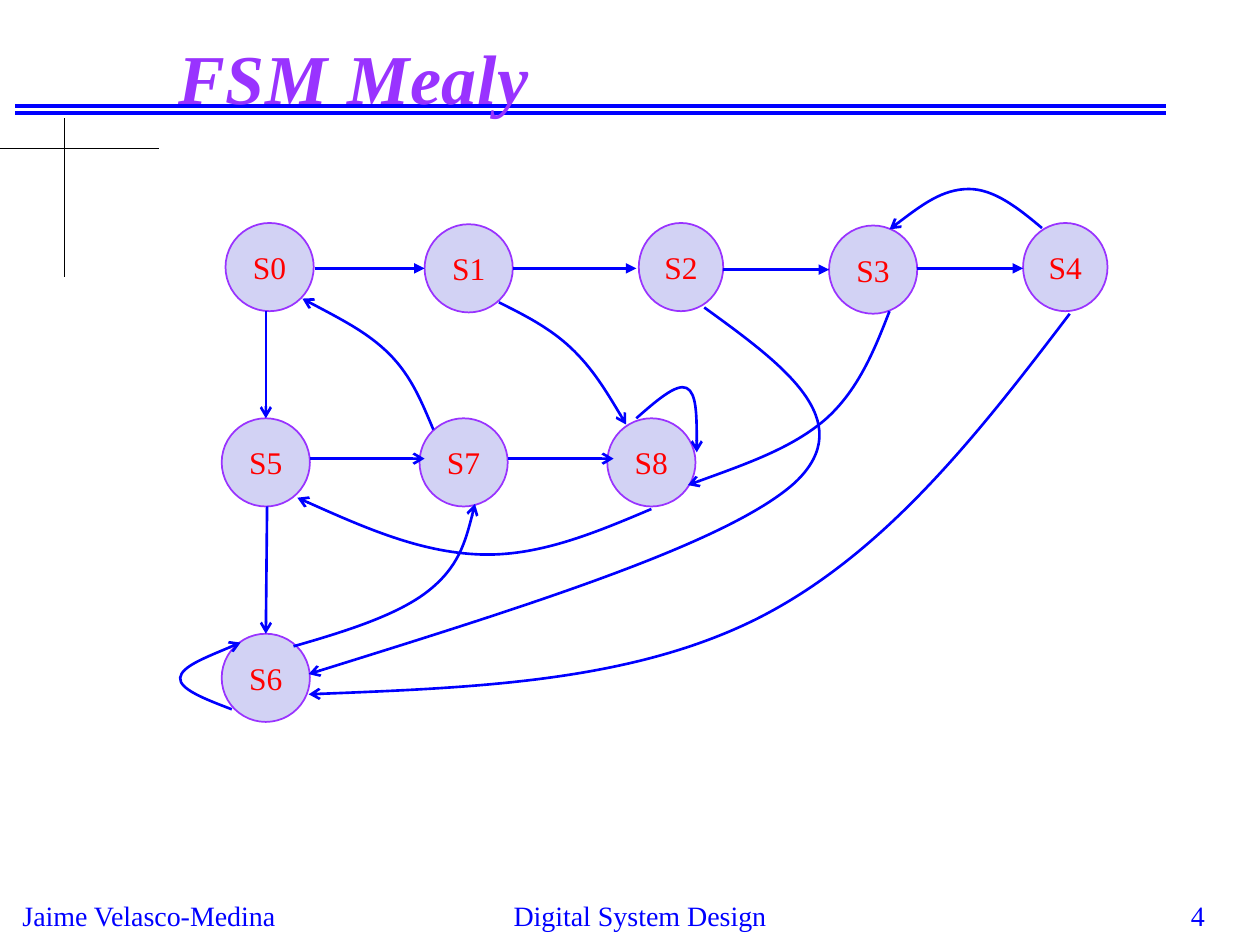
import pptx
import pptx.util
import pptx.dml.color
import pptx.enum.shapes
import pptx.enum.text
import pptx.oxml.ns
from lxml import etree

Inches, Pt = pptx.util.Inches, pptx.util.Pt
qn = pptx.oxml.ns.qn
ALIGN = pptx.enum.text.PP_ALIGN
ANCHOR = pptx.enum.text.MSO_ANCHOR

THEME = {
    "font": "Times New Roman",
    "blue": "0000FF", "purple": "9933FF", "lilac": "D2D2F4",
    "red": "FF0000", "black": "000000",
    "title": 40, "state": 18, "footer": 16,
    "rule": 2.25, "cross": 0.75, "outline": 1, "arrow": 1.5,
}

# Content: lengths in inches
TITLE = ("FSM Mealy", (0.76, 0.22, 4.1, 0.77))
FOOTERS = [
    ("Jaime Velasco-Medina", (0.08, 7.08, 2.25, 0.37), ALIGN.LEFT),
    ("Digital System Design", (3.33, 7.08, 3.5, 0.33), ALIGN.CENTER),
    ("4", (7.58, 7.08, 2.08, 0.25), ALIGN.RIGHT),
]
RULES = [((0.12, y), (9.25, y)) for y in (0.84, 0.9)]
CROSS = [((0, 1.18), (1.26, 1.18)), ((0.51, 0.94), (0.51, 2.2))]

STATE_HEIGHT = 0.7
STATES = [  # name, left, top, width
    ("S0", 1.79, 1.77, 0.7), ("S1", 3.37, 1.78, 0.7), ("S2", 5.07, 1.77, 0.67),
    ("S3", 6.58, 1.79, 0.7), ("S4", 8.12, 1.77, 0.67),
    ("S5", 1.76, 3.32, 0.7), ("S7", 3.33, 3.32, 0.7), ("S8", 4.82, 3.32, 0.7),
    ("S6", 1.76, 5.03, 0.7),
]
STRAIGHT_TRANSITIONS = {
    "triangle": [
        ((2.5, 2.13), (3.37, 2.13)),   # S0 to S1
        ((4.07, 2.13), (5.05, 2.13)),  # S1 to S2
        ((5.74, 2.14), (6.58, 2.14)),  # S2 to S3
        ((7.28, 2.13), (8.12, 2.13)),  # S3 to S4
    ],
    "arrow": [
        ((2.11, 2.47), (2.11, 3.32)),  # S0 to S5
        ((2.12, 4.02), (2.11, 5.03)),  # S5 to S6
        ((2.46, 3.64), (3.37, 3.64)),  # S5 to S7
        ((4.03, 3.64), (4.87, 3.64)),  # S7 to S8
    ],
}
# Each curve: start, then control, control, anchor for each of two segments
CURVED_TRANSITIONS = [
    # S6 to itself
    [(1.84, 5.63), (1.63, 5.55), (1.42, 5.47), (1.43, 5.38), (1.44, 5.29), (1.68, 5.2), (1.91, 5.1)],
    # S4 to S3
    [(8.27, 1.81), (8.08, 1.65), (7.89, 1.5), (7.69, 1.5), (7.48, 1.5), (7.27, 1.66), (7.06, 1.82)],
    # S7 to S0
    [(3.44, 3.41), (3.35, 3.2), (3.27, 2.99), (3.09, 2.81), (2.92, 2.64), (2.66, 2.51), (2.4, 2.37)],
    # S1 to S8
    [(3.96, 2.4), (4.16, 2.5), (4.36, 2.6), (4.53, 2.76), (4.7, 2.92), (4.84, 3.15), (4.97, 3.37)],
    # S8 to S5
    [(5.17, 4.04), (4.72, 4.23), (4.27, 4.42), (3.8, 4.4), (3.33, 4.38), (2.85, 4.17), (2.36, 3.95)],
    # S3 to S8
    [(7.06, 2.47), (6.94, 2.78), (6.81, 3.1), (6.55, 3.33), (6.28, 3.56), (5.87, 3.7), (5.46, 3.85)],
    # S2 to S6
    [(5.59, 2.44), (6.21, 2.89), (6.83, 3.34), (6.31, 3.83), (5.78, 4.31), (4.12, 4.83), (2.45, 5.35)],
    # S4 to S6
    [(8.49, 2.49), (7.76, 3.45), (7.02, 4.4), (6.01, 4.91), (5.01, 5.41), (3.73, 5.46), (2.45, 5.51)],
    # S6 to S7
    [(2.33, 5.13), (2.75, 5.01), (3.16, 4.88), (3.4, 4.69), (3.64, 4.5), (3.71, 4.25), (3.77, 4)],
    # S8 to itself
    [(5.05, 3.32), (5.21, 3.18), (5.37, 3.04), (5.45, 3.08), (5.53, 3.12), (5.53, 3.36), (5.53, 3.59)],
]


def rgb(key):
    return pptx.dml.color.RGBColor.from_string(THEME[key])


def inches(values):
    return [Inches(value) for value in values]


def write(frame, text, size, color, align):
    paragraph = frame.paragraphs[0]
    paragraph.alignment = align
    run = paragraph.add_run()
    run.text = text
    run.font.name = THEME["font"]
    run.font.size = Pt(THEME[size])
    run.font.color.rgb = rgb(color)
    return run


def style_line(shape, color, width, head=None):
    shape.line.color.rgb = rgb(color)
    shape.line.width = Pt(THEME[width])
    if head:
        outline = shape._element.spPr.find(qn("a:ln"))
        etree.SubElement(outline, qn("a:tailEnd"), type=head)


def add_line(shapes, start, end, color, width, head=None):
    connector = shapes.add_connector(
        pptx.enum.shapes.MSO_CONNECTOR.STRAIGHT, *inches(start + end))
    style_line(connector, color, width, head)
    etree.SubElement(connector._element.spPr, qn("a:effectLst"))


def add_curve(shapes, points):
    points = [inches(point) for point in points]
    anchors = points[::3]
    builder = shapes.build_freeform(*anchors[0])
    builder.add_line_segments(anchors[1:], close=False)
    curve = builder.convert_to_shape()
    # Turn each straight segment into a cubic one
    segments = list(curve._element.iter(qn("a:lnTo")))
    for index, segment in enumerate(segments):
        segment.tag = qn("a:cubicBezTo")
        segment.clear()
        for x, y in points[3 * index + 1:3 * index + 4]:
            etree.SubElement(segment, qn("a:pt"),
                             x=str(x - curve.left), y=str(y - curve.top))
    curve.fill.background()
    curve.shadow.inherit = False
    style_line(curve, "blue", "arrow", "arrow")


def add_state(shapes, name, left, top, width):
    state = shapes.add_shape(pptx.enum.shapes.MSO_SHAPE.OVAL,
                             *inches((left, top, width, STATE_HEIGHT)))
    state.shadow.inherit = False
    state.fill.solid()
    state.fill.fore_color.rgb = rgb("lilac")
    style_line(state, "purple", "outline")
    frame = state.text_frame
    frame.margin_left = frame.margin_right = frame.margin_top = frame.margin_bottom = 0
    frame.vertical_anchor = ANCHOR.MIDDLE
    frame.word_wrap = False
    write(frame, name, "state", "red", ALIGN.CENTER)


def main():
    deck = pptx.Presentation()
    deck.slide_width, deck.slide_height = inches((10, 7.5))
    slide = deck.slides.add_slide(deck.slide_layouts[5])
    shapes = slide.shapes

    # Rules, corner cross and footer
    for start, end in RULES:
        add_line(shapes, start, end, "blue", "rule")
    for start, end in CROSS:
        add_line(shapes, start, end, "black", "cross")
    for text, box, align in FOOTERS:
        footer = shapes.add_textbox(*inches(box))
        footer.text_frame.word_wrap = True
        write(footer.text_frame, text, "footer", "blue", align)

    # Title, in front of the rules
    text, box = TITLE
    title = shapes.title
    title.left, title.top, title.width, title.height = inches(box)
    title.text_frame.vertical_anchor = ANCHOR.TOP
    title.text_frame.auto_size = pptx.enum.text.MSO_AUTO_SIZE.NONE
    run = write(title.text_frame, text, "title", "purple", ALIGN.CENTER)
    run.font.bold = run.font.italic = True
    run._r.get_or_add_rPr().set("spc", "50")
    shapes._spTree.append(title._element)

    # State diagram
    for state in STATES:
        add_state(shapes, *state)
    for head, transitions in STRAIGHT_TRANSITIONS.items():
        for start, end in transitions:
            add_line(shapes, start, end, "blue", "arrow", head)
    for points in CURVED_TRANSITIONS:
        add_curve(shapes, points)

    deck.save("out.pptx")


if __name__ == "__main__":
    main()
